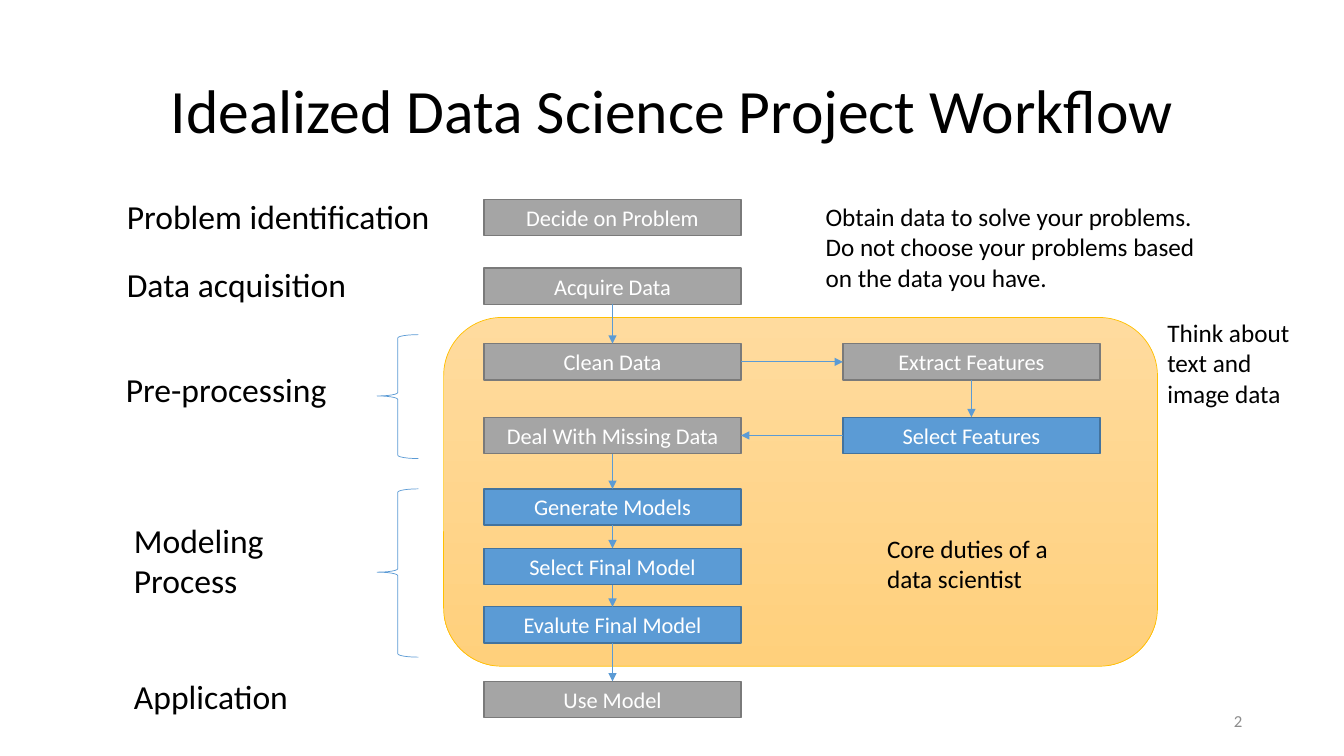
from itertools import pairwise

from lxml import etree
from pptx import Presentation
from pptx import util as u
from pptx.dml.color import RGBColor
from pptx.enum import shapes, text
from pptx.oxml.ns import qn

PX = 9144
BLACK, WHITE, BLUE, BLUE_EDGE = "000000", "FFFFFF", "5B9BD5", "43739E"
GREY, GREY_EDGE, NUMBER_GREY, GOLD = "A5A5A5", "7A7A7A", "8C8C8C", "FFC000"
PANEL_TOP, PANEL_BOTTOM = "FFDB9E", "FFD07C"
STEP_WIDTH, STEP_HEIGHT = 255, 36
STEPS = [
    ("Decide on Problem", 0, 0, False),
    ("Acquire Data", 0, 68, False),
    ("Clean Data", 0, 143, False),
    ("Extract Features", 356, 143, False),
    ("Select Features", 356, 216, True),
    ("Deal With Missing Data", 0, 216, False),
    ("Generate Models", 0, 287, True),
    ("Select Final Model", 0, 346, True),
    ("Evalute Final Model", 0, 404, True),
    ("Use Model", 0, 478, False),
]
STAGES = [
    ("Problem identification", 1, 0, 324, 50),
    ("Data acquisition", 1, 68, 240, 50),
    ("Pre-processing", 0, 172, 221, 50),
    ("Modeling\nProcess", 8, 322, 150, 91),
    ("Application", 8, 477, 175, 50),
]
BRACES = [(259, 143, 123), (259, 296, 167)]


def color(value):
    """Return the colour for a hex string."""
    return RGBColor.from_string(value)


def px(*lengths):
    """Turn px lengths into EMU."""
    return [u.Emu(length * PX) for length in lengths]


def apply(target, values):
    """Set each named attribute of the target."""
    for name, value in values.items():
        setattr(target, name, value)


def write(shape, words, size, hue=BLACK, frame=None, **paragraph_format):
    """Write and format one paragraph for each line of the words."""
    shape.text_frame.text = words
    apply(shape.text_frame, frame or {})
    for paragraph in shape.text_frame.paragraphs:
        apply(paragraph, paragraph_format)
        for run in paragraph.runs:
            apply(run.font, {"name": "Calibri", "size": u.Pt(size)})
            run.font.color.rgb = color(hue)


def outline(shape, hue, width):
    """Give a shape or connector its line."""
    shape.line.color.rgb = color(hue)
    shape.line.width = u.Pt(width)


def add_figure(slide, kind, box, edge, width, fill=None):
    """Add a preset shape without a shadow."""
    shape = slide.shapes.add_shape(kind, *px(*box))
    shape.shadow.inherit = False
    outline(shape, edge, width)
    if fill:
        shape.fill.solid()
        shape.fill.fore_color.rgb = color(fill)
    else:
        shape.fill.background()
    return shape


def add_label(slide, box, words, size, wrap=False):
    """Add a text box that grows with its text."""
    label = slide.shapes.add_textbox(*px(*box))
    write(label, words, size, frame={
        "word_wrap": wrap, "auto_size": text.MSO_AUTO_SIZE.SHAPE_TO_FIT_TEXT})


def add_arrow(slide, start, end):
    """Join two steps with an arrow between their facing sides."""
    if start.left == end.left:
        sides = 2, 0
    elif start.left < end.left:
        sides = 3, 1
    else:
        sides = 1, 3
    arrow = slide.shapes.add_connector(shapes.MSO_CONNECTOR.STRAIGHT, 0, 0, 0, 0)
    arrow.begin_connect(start, sides[0])
    arrow.end_connect(end, sides[1])
    outline(arrow, BLUE, 0.5)
    properties = arrow.element.spPr
    line = properties.find(qn("a:ln"))
    etree.SubElement(line, qn("a:tailEnd"), type="triangle")
    etree.SubElement(properties, qn("a:effectLst"))


def add_title(slide, box, words):
    """Place the slide title."""
    title = slide.shapes.title
    apply(title, dict(zip(("left", "top", "width", "height"), px(*box))))
    write(title, words, 44, frame={
        "vertical_anchor": text.MSO_ANCHOR.MIDDLE, "auto_size": text.MSO_AUTO_SIZE.NONE},
        alignment=text.PP_ALIGN.CENTER, line_spacing=0.9)


def add_core_panel(slide, box):
    """Draw the panel of core duties with its caption and side note."""
    left, top, width, height = box
    panel = add_figure(slide, shapes.MSO_SHAPE.ROUNDED_RECTANGLE, box, GOLD, 0.5)
    panel.fill.gradient()
    panel.fill.gradient_angle = 270
    for stop, hue in zip(panel.fill.gradient_stops, (PANEL_TOP, PANEL_BOTTOM)):
        stop.color.rgb = color(hue)
    add_label(slide, (left + 430, top + 209, 203, 71),
              "Core duties of a data scientist", 18, wrap=True)
    add_label(slide, (left + width, top - 5, 143, 101),
              "Think about\ntext and\nimage data", 18)


def add_workflow(slide, left, top):
    """Draw the steps and join them in order from the second onwards."""
    boxes = []
    for words, across, down, modeling in STEPS:
        fill, edge = (BLUE, BLUE_EDGE) if modeling else (GREY, GREY_EDGE)
        step = add_figure(slide, shapes.MSO_SHAPE.RECTANGLE,
                          (left + across, top + down, STEP_WIDTH, STEP_HEIGHT), edge, 1, fill)
        write(step, words, 16, WHITE, {"vertical_anchor": text.MSO_ANCHOR.MIDDLE},
              alignment=text.PP_ALIGN.CENTER)
        boxes.append(step)
    for start, end in pairwise(boxes[1:]):
        add_arrow(slide, start, end)


def add_stages(slide, left, top):
    """Name the stages and brace the steps that belong to them."""
    for words, across, down, width, height in STAGES:
        add_label(slide, (left + across, top + down, width, height), words, 24)
    for across, down, height in BRACES:
        brace = add_figure(slide, shapes.MSO_SHAPE.RIGHT_BRACE,
                           (left + across, top + down, 41, height), BLUE, 0.5)
        brace.adjustments[0] = 0.083
        brace.adjustments[1] = 0.495
        brace.element.spPr.find(qn("a:xfrm")).set("flipH", "1")


def add_slide_number(slide, box, number):
    """Place the slide number."""
    label = slide.shapes.add_textbox(*px(*box))
    write(label, number, 12, NUMBER_GREY,
          {"word_wrap": True, "vertical_anchor": text.MSO_ANCHOR.MIDDLE},
          alignment=text.PP_ALIGN.RIGHT)


def main():
    """Build and save the presentation."""
    presentation = Presentation()
    presentation.slide_width, presentation.slide_height = px(1333, 750)
    slide = presentation.slides.add_slide(presentation.slide_layouts[5])
    add_title(slide, (92, 40, 1150, 145), "Idealized Data Science Project Workflow")
    add_core_panel(slide, (440, 315, 708, 346))
    add_workflow(slide, 480, 198)
    add_stages(slide, 115, 189)
    add_label(slide, (809, 195, 413, 101),
              "Obtain data to solve your problems. Do not choose your problems "
              "based on the data you have.", 18, wrap=True)
    add_slide_number(slide, (942, 695, 300, 40), "2")
    presentation.save("out.pptx")


if __name__ == "__main__":
    main()
